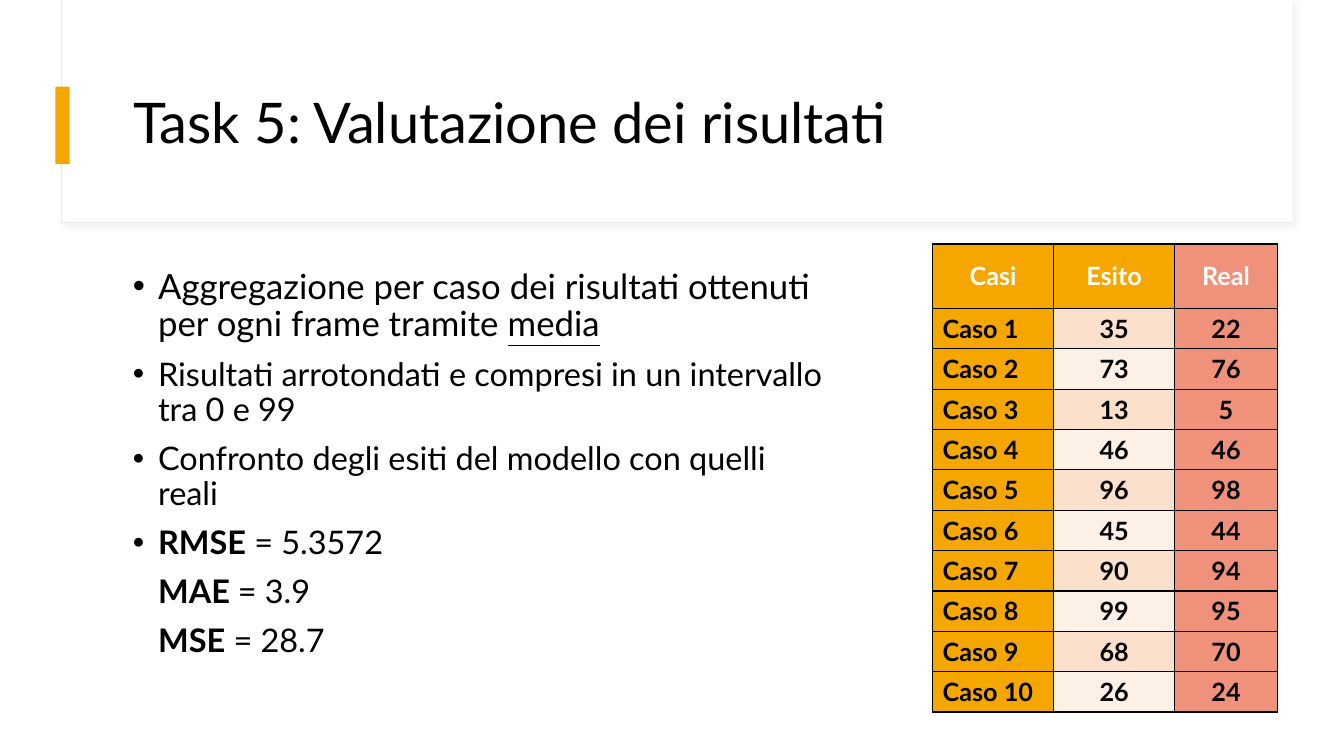
import pptx
import pptx.util
import pptx.dml.color
import pptx.enum.shapes
import pptx.enum.text
import pptx.oxml
import pptx.oxml.ns

Inches, Pt = pptx.util.Inches, pptx.util.Pt
Align, Anchor = pptx.enum.text.PP_ALIGN, pptx.enum.text.MSO_ANCHOR

FONT = "Lato"
BLACK, WHITE, AMBER, CORAL = "000000", "FFFFFF", "F5A700", "F0917B"
OUTCOME_BANDS = ("FBE1CC", "FDF1E7")
LEFT_MARGIN = 1.22
INDENT = 0.25

# Each point: bulleted, size, runs of (text, style)
POINTS = [
    (True, 24.8, [("Aggregazione per caso dei risultati ottenuti per ogni frame tramite ", ""),
                  ("media", "underline")]),
    (True, 23.2, [("Risultati arrotondati e compresi in un intervallo tra 0 e 99", "")]),
    (True, 23.2, [("Confronto degli esiti del modello con quelli reali", "")]),
    (True, 23.2, [("RMSE", "bold"), (" = 5.3572", "")]),
    (False, 23.2, [("MAE ", "bold"), ("= 3.9", "")]),
    (False, 23.2, [("MSE", "bold"), (" = 28.7", "")]),
]
HEADINGS = ("Casi", "Esito", "Real")
OUTCOMES = (35, 73, 13, 46, 96, 45, 90, 99, 68, 26)
REAL_VALUES = (22, 76, 5, 46, 98, 44, 94, 95, 70, 24)
COLUMN_WIDTHS = (1.2, 1.2, 1.02)
HEADING_HEIGHT, CASE_HEIGHT = 0.64, 0.4


def rgb(value):
    return pptx.dml.color.RGBColor.from_string(value)


def xml(text):
    return pptx.oxml.parse_xml(text.replace(">", f" {pptx.oxml.ns.nsdecls('a')}>", 1))


def box(left, top, width, height):
    return [Inches(length) for length in (left, top, width, height)]


def set_font(font, size, color=BLACK, bold=None):
    font.name, font.size, font.bold = FONT, Pt(size), bold
    font.color.rgb = rgb(color)


def add_panel(slide, place, fill, line=None):
    panel = slide.shapes.add_shape(pptx.enum.shapes.MSO_SHAPE.RECTANGLE, *box(*place))
    panel.shadow.inherit = False
    panel.fill.solid()
    panel.fill.fore_color.rgb = rgb(fill)
    if line:
        panel.line.color.rgb = rgb(line)
        panel.line.width = Pt(0.75)
    else:
        panel.line.fill.background()
    return panel


def add_soft_shadow(panel):
    effects = panel._element.spPr.find(pptx.oxml.ns.qn("a:effectLst"))
    effects.append(xml(
        f'<a:outerShdw blurRad="{Pt(4)}" dist="{Pt(3)}" dir="2700000" rotWithShape="0">'
        '<a:srgbClr val="D9D9D9"><a:alpha val="30000"/></a:srgbClr></a:outerShdw>'))


def place_title(slide, text):
    title = slide.shapes.title
    title.left, title.top, title.width, title.height = box(LEFT_MARGIN, 0.6, 11.12, 1.29)
    frame = title.text_frame
    frame.text = text
    frame.auto_size = pptx.enum.text.MSO_AUTO_SIZE.NONE
    frame.vertical_anchor = Anchor.MIDDLE
    paragraph = frame.paragraphs[0]
    paragraph.alignment = Align.LEFT
    paragraph.line_spacing = 0.9
    set_font(paragraph.font, 40)
    # Bring the title in front of the header panels
    slide.shapes._spTree.append(title._element)


def add_points(slide, points):
    frame = slide.shapes.add_textbox(*box(LEFT_MARGIN, 2.62, 7.09, 4.12)).text_frame
    frame.word_wrap = True
    for index, (bulleted, size, runs) in enumerate(points):
        paragraph = frame.add_paragraph() if index else frame.paragraphs[0]
        paragraph.line_spacing, paragraph.space_before = 0.9, Pt(10)
        properties = paragraph._p.get_or_add_pPr()
        properties.set("marL", str(Inches(INDENT)))
        properties.set("indent", str(Inches(-INDENT if bulleted else 0)))
        if bulleted:
            properties.append(xml('<a:buFont typeface="Arial"></a:buFont>'))
            properties.append(xml('<a:buChar char="•"></a:buChar>'))
        set_font(paragraph.font, size)
        for text, style in runs:
            run = paragraph.add_run()
            run.text = text
            if style:
                setattr(run.font, style, True)


def add_borders(cell):
    properties = cell._tc.get_or_add_tcPr()
    for index, side in enumerate("LRTB"):
        properties.insert(index, xml(
            f'<a:ln{side} w="{Pt(1)}"><a:solidFill><a:srgbClr val="{BLACK}"/>'
            f'</a:solidFill></a:ln{side}>'))


def fill_cell(cell, text, fill, color, centred):
    cell.fill.solid()
    cell.fill.fore_color.rgb = rgb(fill)
    add_borders(cell)
    cell.text = text
    cell.vertical_anchor = Anchor.MIDDLE if centred else Anchor.TOP
    paragraph = cell.text_frame.paragraphs[0]
    paragraph.alignment = Align.CENTER if centred else Align.LEFT
    set_font(paragraph.font, 18, color, bold=True)


def add_case_table(slide):
    cases = [(f"Caso {number}", str(outcome), str(real))
             for number, (outcome, real) in enumerate(zip(OUTCOMES, REAL_VALUES), 1)]
    rows = [HEADINGS, *cases]
    height = HEADING_HEIGHT + CASE_HEIGHT * len(cases)
    table = slide.shapes.add_table(len(rows), len(HEADINGS),
                                   *box(9.25, 2.42, sum(COLUMN_WIDTHS), height)).table
    for column, width in zip(table.columns, COLUMN_WIDTHS):
        column.width = Inches(width)
    for r, texts in enumerate(rows):
        heading = r == 0
        table.rows[r].height = Inches(HEADING_HEIGHT if heading else CASE_HEIGHT)
        outcome_fill = AMBER if heading else OUTCOME_BANDS[(r - 1) % 2]
        for c, (text, fill) in enumerate(zip(texts, (AMBER, outcome_fill, CORAL))):
            fill_cell(table.cell(r, c), text, fill,
                      WHITE if heading else BLACK, centred=heading or c > 0)


def main():
    deck = pptx.Presentation()
    deck.slide_width, deck.slide_height = Inches(13.33), Inches(7.5)
    slide = deck.slides.add_slide(deck.slide_layouts.get_by_name("Title Only"))

    # Header
    add_soft_shadow(add_panel(slide, (0.61, 0, 12.21, 2.21), WHITE, "E9E9E9"))
    add_panel(slide, (0.62, 0, 12.2, 2.2), WHITE)
    add_panel(slide, (0.55, 0.86, 0.14, 0.77), AMBER)
    place_title(slide, "Task 5: Valutazione dei risultati")

    # Findings and results per case
    add_points(slide, POINTS)
    add_case_table(slide)

    deck.save("out.pptx")


if __name__ == "__main__":
    main()
